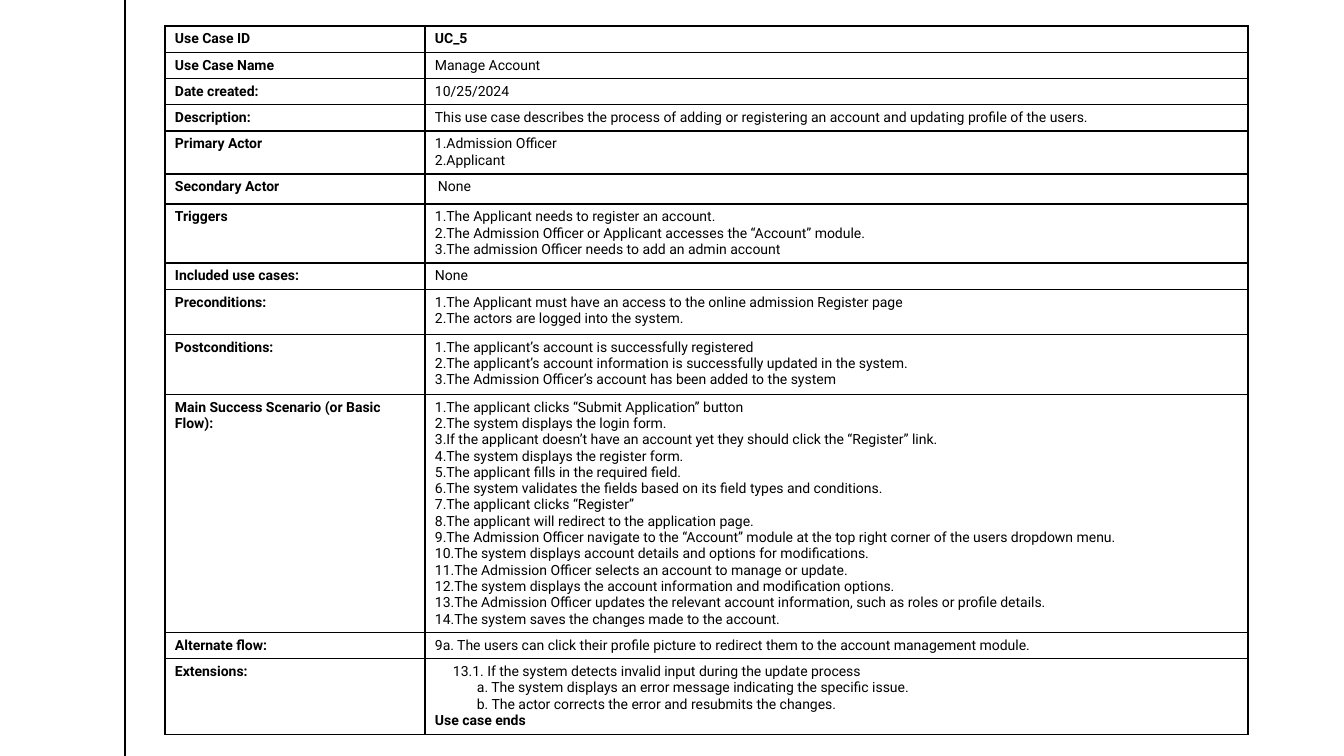
"""Build the use case slide for account management."""
from lxml.etree import SubElement
from pptx import Presentation
from pptx.dml.color import RGBColor
from pptx.enum.shapes import MSO_CONNECTOR as Conn
from pptx.oxml import parse_xml
from pptx.oxml.ns import nsdecls, qn
from pptx.util import Pt

PX = 914400 / 100.8
SLIDE_W, SLIDE_H = 1344, 756
RULE_X = 125
TABLE_X, TABLE_Y = 165, 26
COL_WIDTHS = (260, 823)
MARGIN_X, MARGIN_Y = 10, 5
FONT, SIZE = "Roboto", 10
COLORS = {"line": "000000", "text": "000000"}

# label, row height, numbered list, lines of text
ROWS = [
    ("Use Case ID", 26, False, ["UC_5"]),
    ("Use Case Name", 26, False, ["Manage Account"]),
    ("Date created:", 26, False, ["10/25/2024"]),
    ("Description:", 26, False, [
        "This use case describes the process of adding or registering an account "
        "and updating profile of the users."]),
    ("Primary Actor", 43, True, ["Admission Officer", "Applicant"]),
    ("Secondary Actor", 30, False, ["None"]),
    ("Triggers", 59, True, [
        "The Applicant needs to register an account.",
        "The Admission Officer or Applicant accesses the “Account” module.",
        "The admission Officer needs to add an admin account"]),
    ("Included use cases:", 26, False, ["None"]),
    ("Preconditions:", 45, True, [
        "The Applicant must have an access to the online admission Register page",
        "The actors are logged into the system."]),
    ("Postconditions:", 60, True, [
        "The applicant’s account is successfully registered",
        "The applicant’s account information is successfully updated in the system.",
        "The Admission Officer’s account has been added to the system"]),
    ("Main Success Scenario (or Basic Flow):", 238, True, [
        "The applicant clicks “Submit Application” button",
        "The system displays the login form.",
        "If the applicant doesn’t have an account yet they should click the “Register” link.",
        "The system displays the register form.",
        "The applicant fills in the required field.",
        "The system validates the fields based on its field types and conditions.",
        "The applicant clicks “Register”",
        "The applicant will redirect to the application page.",
        "The Admission Officer navigate to the “Account” module at the top right corner "
        "of the users dropdown menu.",
        "The system displays account details and options for modifications.",
        "The Admission Officer selects an account to manage or update.",
        "The system displays the account information and modification options.",
        "The Admission Officer updates the relevant account information, such as roles "
        "or profile details.",
        "The system saves the changes made to the account."]),
    ("Alternate flow:", 26, False, [
        "9a. The users can click their profile picture to redirect them to the account "
        "management module."]),
    ("Extensions:", 76, False, [
        "13.1. If the system detects invalid input during the update process",
        "a. The system displays an error message indicating the specific issue.",
        "b. The actor corrects the error and resubmits the changes.",
        "Use case ends"]),
]
BOLD_LINES = {"UC_5", "Use case ends"}
INDENTS = {"Secondary Actor": [3], "Extensions:": [18, 42, 42, 0]}


def px(n):
    return round(n * PX)


def add_borders(cell):
    tcPr = cell._tc.get_or_add_tcPr()
    for i, side in enumerate("LRTB"):
        tcPr.insert(i, parse_xml(
            f'<a:ln{side} {nsdecls("a")} w="{Pt(1)}"><a:solidFill>'
            f'<a:srgbClr val="{COLORS["line"]}"/></a:solidFill></a:ln{side}>'))


def fill_cell(cell, lines, bold_lines, numbered=False, indents=()):
    cell.fill.background()
    add_borders(cell)
    cell.margin_left = cell.margin_right = px(MARGIN_X)
    cell.margin_top = cell.margin_bottom = px(MARGIN_Y)
    tf = cell.text_frame
    tf.text = "\n".join(lines)
    for i, p in enumerate(tf.paragraphs):
        pPr = p._p.get_or_add_pPr()
        pPr.set("marL", str(px(indents[i] if indents else 0)))
        pPr.set("indent", "0")
        if numbered:
            SubElement(pPr, qn("a:buFont"), typeface=FONT)
            SubElement(pPr, qn("a:buAutoNum"), type="arabicPeriod")
        for r in p.runs:
            r.font.name, r.font.size = FONT, Pt(SIZE)
            r.font.bold = r.text in bold_lines
            r.font.color.rgb = RGBColor.from_string(COLORS["text"])


def add_rule(s):
    line = s.shapes.add_connector(Conn.STRAIGHT, px(RULE_X), 0, px(RULE_X), px(SLIDE_H))
    line.line.color.rgb = RGBColor.from_string(COLORS["line"])
    line.line.width = Pt(1)
    SubElement(line._element.spPr, qn("a:effectLst"))


def add_use_case(s):
    height = sum(row[1] for row in ROWS)
    frame = s.shapes.add_table(len(ROWS), len(COL_WIDTHS), px(TABLE_X), px(TABLE_Y),
                               px(sum(COL_WIDTHS)), px(height))
    table = frame.table
    table.first_row = table.horz_banding = False
    for col, width in zip(table.columns, COL_WIDTHS):
        col.width = px(width)
    for i, (label, row_h, numbered, lines) in enumerate(ROWS):
        table.rows[i].height = px(row_h)
        fill_cell(table.cell(i, 0), [label], {label})
        fill_cell(table.cell(i, 1), lines, BOLD_LINES, numbered, INDENTS.get(label, ()))


def main():
    prs = Presentation()
    prs.slide_width, prs.slide_height = px(SLIDE_W), px(SLIDE_H)
    s = prs.slides.add_slide(prs.slide_layouts[6])
    add_rule(s)
    add_use_case(s)
    prs.save("out.pptx")


if __name__ == "__main__":
    main()
